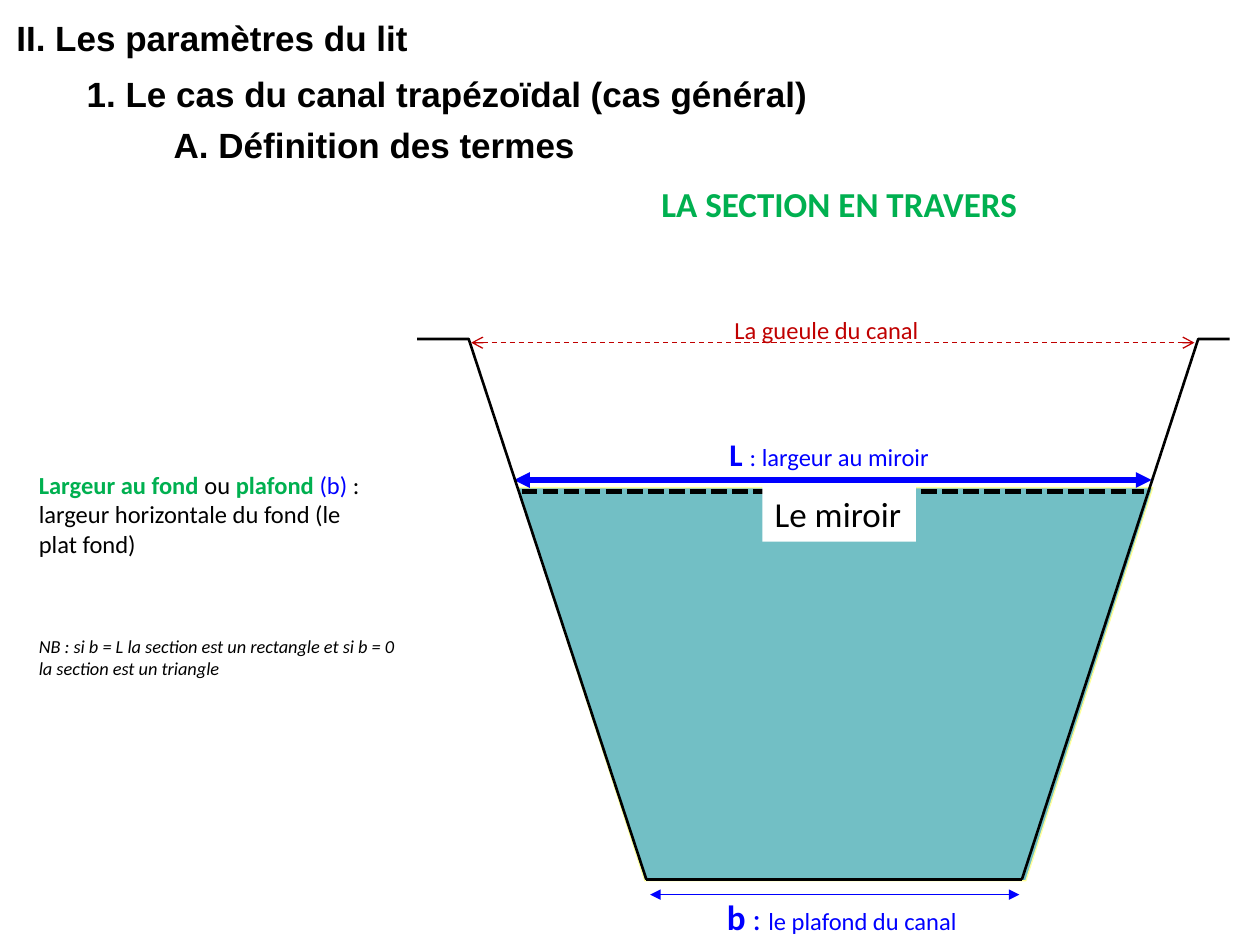
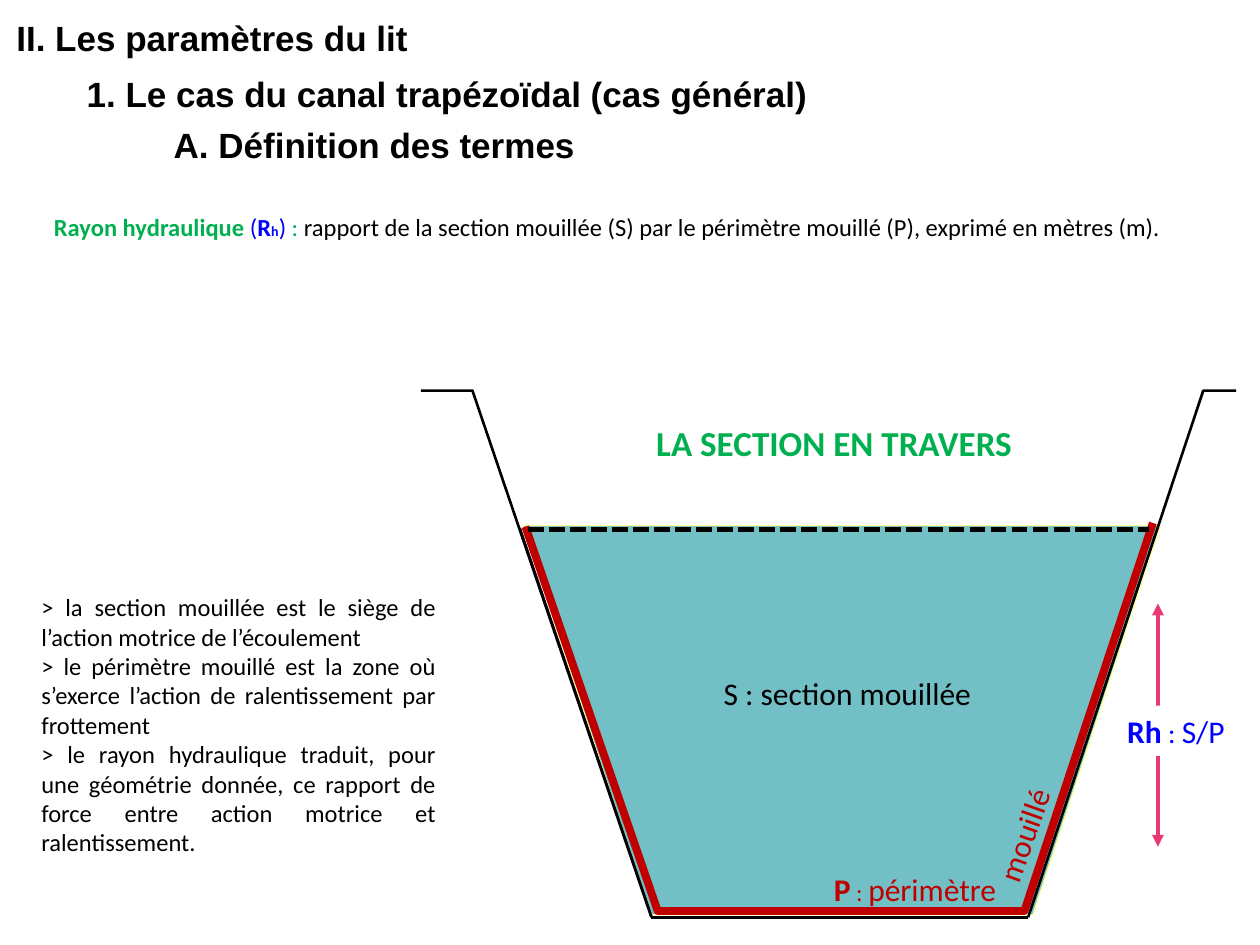
from lxml import etree
from pptx import Presentation
from pptx.dml.color import RGBColor
from pptx.enum.dml import MSO_LINE
from pptx.enum.shapes import MSO_CONNECTOR, MSO_SHAPE
from pptx.enum.text import MSO_ANCHOR, MSO_AUTO_SIZE, PP_ALIGN
from pptx.oxml.ns import qn
from pptx.util import Pt

PX = 9144  # EMU per px, 100 px to the inch
STRAIGHT = MSO_CONNECTOR.STRAIGHT
RECTANGLE = MSO_SHAPE.RECTANGLE
TRAPEZOID = MSO_SHAPE.FLOWCHART_MANUAL_OPERATION
DASH, SQUARE_DASH = MSO_LINE.DASH, MSO_LINE.SQUARE_DOT
LEFT, CENTER, RIGHT, JUSTIFY = (
    PP_ALIGN.LEFT, PP_ALIGN.CENTER, PP_ALIGN.RIGHT, PP_ALIGN.JUSTIFY)
TOP = MSO_ANCHOR.TOP
GROW = MSO_AUTO_SIZE.SHAPE_TO_FIT_TEXT

COLORS = {
    "black": "000000", "white": "FFFFFF", "green": "00B050", "blue": "0000FF",
    "red": "C00000", "pink": "EA3A75", "water": "72BFC5", "edge": "FFFF99",
}
HEADING = "II. Les paramètres du lit"
SUBHEADINGS = [
    ("1. Le cas du canal trapézoïdal (cas général)", (59, 58, 737, 39)),
    ("A. Définition des termes", (128, 98, 340, 39)),
]


def color(name):
    return RGBColor.from_string(COLORS[name])


def emu(*lengths):
    return [length * PX for length in lengths]


class Sketch:
    """Holds the deck, its style and the current slide."""

    def __init__(self):
        self.deck = Presentation()
        self.deck.slide_width, self.deck.slide_height = emu(1000, 750)
        self.page = None

    def new_page(self):
        self.page = self.deck.slides.add_slide(self.deck.slide_layouts[5])
        title = self.page.shapes.title
        title.left, title.top, title.width, title.height = emu(3, 13, 870, 39)
        self.fill_text(title, [[(HEADING, 20, "black", "b")]],
                       font="Arial", spacing=0.85)
        for words, place in SUBHEADINGS:
            self.text(place, [[(words, 20, "black", "b")]], wrap=True,
                      font="Arial", spacing=0.85)

    def fill_text(self, box, paras, align=LEFT, wrap=True, font="Calibri",
                  spacing=None):
        frame = box.text_frame
        frame.word_wrap = wrap
        frame.auto_size = GROW
        frame.vertical_anchor = TOP
        for index, spans in enumerate(paras):
            para = frame.add_paragraph() if index else frame.paragraphs[0]
            para.alignment = align
            if spacing:
                para.line_spacing = spacing
            for words, size, ink, style in spans:
                span = para.add_run()
                span.text = words
                span.font.name = font
                span.font.size = Pt(size)
                span.font.color.rgb = color(ink)
                span.font.bold = style == "b"
                span.font.italic = style == "i"

    def text(self, place, paras, align=LEFT, wrap=False, font="Calibri",
             spacing=None):
        box = self.page.shapes.add_textbox(*emu(*place))
        self.fill_text(box, paras, align, wrap, font, spacing)
        return box

    def label(self, place, spans, align=LEFT):
        """One line of text on a white rectangle."""
        box = self.shape(RECTANGLE, place, "white")
        self.fill_text(box, [spans], align, wrap=False)
        return box

    def shape(self, kind, place, fill, edge=None):
        shape = self.page.shapes.add_shape(kind, *emu(*place))
        shape.shadow.inherit = False
        shape.fill.solid()
        shape.fill.fore_color.rgb = color(fill)
        if edge:
            shape.line.color.rgb = color(edge)
            shape.line.width = Pt(0.75)
        else:
            shape.line.fill.background()
        return shape

    def line(self, start, end, ink, width, dash=None, heads=None, parent=None):
        shapes = (parent or self.page).shapes
        line = shapes.add_connector(STRAIGHT, *emu(*start, *end))
        line.line.color.rgb = color(ink)
        line.line.width = Pt(width)
        if dash:
            line.line.dash_style = dash
        properties = line._element.spPr
        if heads:
            outline = properties.find(qn("a:ln"))
            for tag in ("a:headEnd", "a:tailEnd"):
                etree.SubElement(outline, qn(tag), type=heads)
        etree.SubElement(properties, qn("a:effectLst"))

    def outline(self, points, ink, width, parent=None):
        shapes = (parent or self.page).shapes
        builder = shapes.build_freeform(*points[0], scale=PX)
        builder.add_line_segments(points[1:], close=False)
        path = builder.convert_to_shape()
        path.shadow.inherit = False
        path.fill.background()
        path.line.color.rgb = color(ink)
        path.line.width = Pt(width)

    def canal(self, left_xs, right_xs, rim, floor):
        """Banks run from the floor to the rim and out; a line joins them."""
        group = self.page.shapes.add_group_shape()
        for xs in (right_xs, left_xs):
            bank = list(zip(xs, (floor, rim, rim)))
            self.outline(bank, "black", 1.5, group)
        self.line((left_xs[0], floor), (right_xs[0], floor), "black", 1.5,
                  parent=group)

    def water(self, place):
        self.shape(TRAPEZOID, place, "water", "edge")

    def section_name(self, left, top):
        self.text((left, top, 305, 44),
                  [[("LA SECTION EN TRAVERS", 20, "green", "b")]])


def widths_page(sketch):
    sketch.new_page()
    # Water and its surface
    sketch.water((411, 387, 504, 312))
    sketch.section_name(515, 140)
    sketch.line((414, 390), (908, 390), "black", 3, SQUARE_DASH)
    sketch.line((408, 381), (914, 381), "blue", 3, heads="triangle")
    sketch.text((569, 340, 184, 40), [[
        ("L ", 18, "blue", "b"), (": largeur au miroir", 14, "blue", "")]])
    sketch.label((605, 386, 122, 44), [("Le miroir", 20, "black", "")])
    # Bottom width
    sketch.line((516, 710), (809, 710), "blue", 0.75, heads="triangle")
    sketch.text((567, 706, 205, 44), [[
        ("b", 20, "blue", "b"), (" : ", 18, "blue", ""),
        ("le plafond du canal", 14, "blue", "")]])
    # Canal and its mouth
    sketch.canal((513, 372, 331), (811, 951, 976), 269, 698)
    sketch.text((573, 245, 168, 34),
                [[("La gueule du canal", 14, "red", "")]])
    sketch.line((374, 272), (948, 272), "red", 0.75, DASH, "arrow")
    # Definitions
    sketch.text((21, 368, 283, 81), [[
        ("Largeur au fond ", 14, "green", "b"), ("ou ", 14, "black", ""),
        ("plafond ", 14, "green", "b"), ("(b) ", 14, "blue", ""),
        (": largeur horizontale du fond (le plat fond)", 14, "black", ""),
    ]], wrap=True)
    sketch.text((21, 499, 316, 47), [[
        ("NB : si b = L la section est un rectangle et si b = 0 "
         "la section est un triangle", 10.5, "black", "i")]], wrap=True)


def radius_page(sketch):
    sketch.new_page()
    # Canal, water and wetted perimeter
    sketch.water((415, 417, 506, 309))
    sketch.canal((517, 375, 334), (816, 955, 981), 310, 728)
    sketch.line((413, 419), (518, 729), "black", 0.75)
    sketch.outline([(417, 418), (522, 723), (813, 723), (915, 415)],
                   "red", 4.5)
    wetted = sketch.text((764, 642, 97, 40), [[("mouillé", 18, "red", "")]])
    wetted.rotation = 289.5
    sketch.text((652, 686, 150, 40), [[
        ("P", 18, "red", "b"), (" : ", 14, "red", ""),
        ("périmètre", 18, "red", "")]])
    sketch.text((563, 530, 219, 40),
                [[("S : section mouillée", 18, "black", "")]], CENTER)
    sketch.line((419, 420), (912, 420), "black", 3, SQUARE_DASH)
    # Definition
    sketch.text((33, 163, 922, 34), [[
        ("Rayon hydraulique ", 14, "green", "b"), ("(", 14, "blue", ""),
        ("R", 14, "blue", "b"), ("h", 8, "blue", "b"), (")", 14, "blue", ""),
        (" : ", 14, "green", ""),
        ("rapport de la section mouillée (S) par le périmètre mouillé (P), "
         "exprimé en mètres (m).", 14, "black", "")]], wrap=True)
    sketch.section_name(511, 330)
    # Hydraulic radius
    sketch.line((919, 479), (919, 672), "pink", 2.25, heads="triangle")
    radius = sketch.label((894, 560, 78, 40), [
        ("Rh", 18, "blue", "b"), (" : ", 16, "blue", ""),
        ("S/P", 18, "blue", "")], RIGHT)
    radius.text_frame.margin_left = radius.text_frame.margin_right = 0
    # Remarks
    remarks = [
        "> la section mouillée est le siège de l’action motrice de "
        "l’écoulement",
        "> le périmètre mouillé est la zone où s’exerce l’action de "
        "ralentissement par frottement",
        "> le rayon hydraulique traduit, pour une géométrie donnée, ce "
        "rapport de force entre action motrice et ralentissement.",
    ]
    sketch.text((23, 465, 333, 222),
                [[(remark, 14, "black", "")] for remark in remarks],
                JUSTIFY, wrap=True)


def main():
    sketch = Sketch()
    widths_page(sketch)
    radius_page(sketch)
    sketch.deck.save("out.pptx")


if __name__ == "__main__":
    main()
